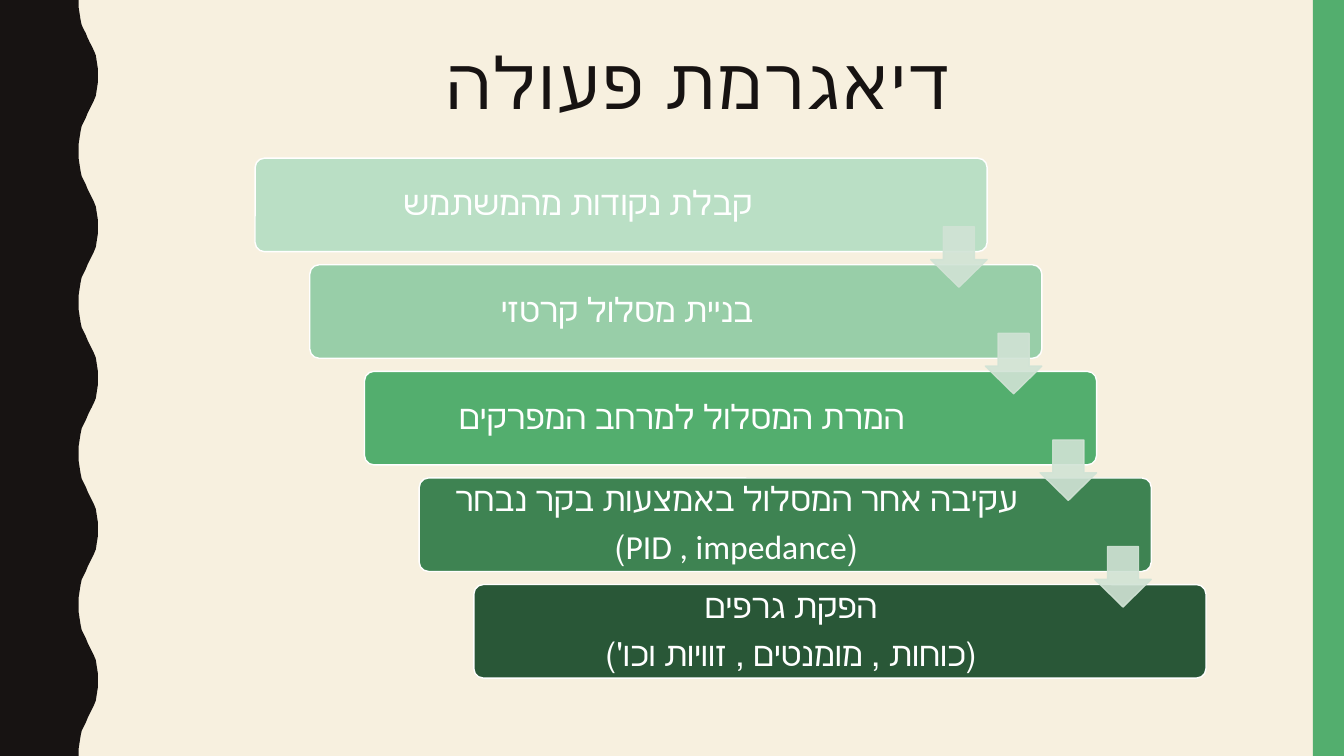
from dataclasses import dataclass

from lxml import etree
from pptx import Presentation
from pptx.dml.color import RGBColor
from pptx.enum.shapes import MSO_SHAPE
from pptx.enum.text import MSO_ANCHOR, MSO_AUTO_SIZE, PP_ALIGN
from pptx.oxml.ns import qn
from pptx.util import Inches, Pt

RECTANGLE = MSO_SHAPE.RECTANGLE
ROUNDED = MSO_SHAPE.ROUNDED_RECTANGLE
DOWN_ARROW = MSO_SHAPE.DOWN_ARROW
CENTER = PP_ALIGN.CENTER
TOP = MSO_ANCHOR.TOP
MIDDLE = MSO_ANCHOR.MIDDLE
NO_FIT = MSO_AUTO_SIZE.NONE
TITLE_ONLY = 5
GRID = 100

STEPS = [
    ("BADFC5", ["קבלת נקודות מהמשתמש"]),
    ("98CEA8", ["בניית מסלול קרטזי"]),
    ("53AE6E", ["המרת המסלול למרחב המפרקים"]),
    ("3E8352", ["עקיבה אחר המסלול באמצעות בקר נבחר", "(PID , impedance)"]),
    ("295737", ["הפקת גרפים", "(כוחות , מומנטים , זוויות וכו')"]),
]
BAR_LEFT, BAR_TOP, BAR_WIDTH, BAR_HEIGHT = 18.98, 20.93, 54.47, 12.37
STEP_RIGHT, STEP_DOWN = 4.07, 14.1
ARROW_TOP, ARROW_WIDTH, ARROW_HEIGHT = 30, 4.2, 8

WAVE_PERIOD = 20
HALF_WAVE = [
    (5.85, 0), (5.85, 0.93), (5.93, 1.87), (6, 2.67), (6.08, 3.33),
    (6.23, 3.87), (6.38, 4.4), (6.53, 5.07), (6.68, 5.6), (6.83, 6.13),
    (6.98, 6.67), (7.13, 7.33), (7.2, 8.13), (7.28, 9.07), (7.28, 10),
]


@dataclass(frozen=True)
class Theme:
    background: str = "F7F0DF"
    dark: str = "171312"
    accent: str = "53AE6E"
    arrow: str = "D1E3D5"
    light: str = "FFFFFF"
    title_font: str = "Arial Narrow"
    body_font: str = "Calibri"
    title_size: float = 51
    body_size: float = 24
    space_after: float = 8.4
    line_spacing: float = 0.9
    arrow_alpha: int = 90000


class SlideBuilder:
    def __init__(self, deck, theme):
        self.theme = theme
        self.column = deck.slide_width / GRID
        self.row = deck.slide_height / GRID
        self.page = deck.slides.add_slide(deck.slide_layouts[TITLE_ONLY])
        self.paint(self.page.background.fill, theme.background)

    def place(self, left, top, width, height):
        return (round(left * self.column), round(top * self.row),
                round(width * self.column), round(height * self.row))

    def paint(self, fill, color):
        fill.solid()
        fill.fore_color.rgb = RGBColor.from_string(color)

    def shape(self, kind, area, color, line=None):
        box = self.page.shapes.add_shape(kind, *self.place(*area))
        self.finish(box, color, line)
        return box

    def finish(self, box, color, line=None):
        box.shadow.inherit = False
        self.paint(box.fill, color)
        if line:
            self.paint(box.line.fill, line)
            box.line.width = Pt(1)
        else:
            box.line.fill.background()

    def format(self, para, font, size, color):
        para.alignment = CENTER
        para.line_spacing = self.theme.line_spacing
        para._p.get_or_add_pPr().set("rtl", "1")
        para.font.name = font
        para.font.size = Pt(size)
        para.font.color.rgb = RGBColor.from_string(color)

    def title(self, text, area):
        box = self.page.shapes.title
        box.left, box.top, box.width, box.height = self.place(*area)
        frame = box.text_frame
        frame.text = text
        frame.vertical_anchor = TOP
        frame.auto_size = NO_FIT
        para = frame.paragraphs[0]
        self.format(para, self.theme.title_font, self.theme.title_size, self.theme.dark)
        para.font._element.set("spc", "200")

    def wave(self):
        crest = HALF_WAVE + [(x, WAVE_PERIOD - y) for x, y in HALF_WAVE[-2::-1]]
        edge = [(x, y + start) for start in range(0, GRID, WAVE_PERIOD) for x, y in crest]
        points = [(round(x * self.column), round(y * self.row))
                  for x, y in edge + [(0, GRID)]]
        builder = self.page.shapes.build_freeform(0, 0)
        builder.add_line_segments(points, close=True)
        self.finish(builder.convert_to_shape(), self.theme.dark)

    def bar(self, lines, area, color, right_margin):
        box = self.shape(ROUNDED, area, color, self.theme.light)
        box.adjustments[0] = 0.1
        frame = box.text_frame
        frame.word_wrap = True
        frame.vertical_anchor = MIDDLE
        frame.margin_left = frame.margin_top = frame.margin_bottom = Inches(0.07)
        frame.margin_right = Inches(right_margin)
        frame.text = "\n".join(lines)
        for para in frame.paragraphs:
            self.format(para, self.theme.body_font, self.theme.body_size, self.theme.light)
            para.space_after = Pt(self.theme.space_after)

    def arrow(self, area):
        box = self.shape(DOWN_ARROW, area, self.theme.arrow, self.theme.arrow)
        box.adjustments[0] = 0.55
        box.adjustments[1] = 0.49
        for color in box._element.spPr.iter(qn("a:srgbClr")):
            alpha = etree.SubElement(color, qn("a:alpha"))
            alpha.set("val", str(self.theme.arrow_alpha))


def main():
    deck = Presentation()
    deck.slide_width = Inches(13.33)
    deck.slide_height = Inches(7.5)
    theme = Theme()
    slide = SlideBuilder(deck, theme)

    slide.wave()
    slide.shape(RECTANGLE, (97.68, 0, 2.32, GRID), theme.accent)
    slide.title("דיאגרמת פעולה", (10.28, 5.6, 83.49, 21.73))

    for index, (color, lines) in enumerate(STEPS):
        area = (BAR_LEFT + index * STEP_RIGHT, BAR_TOP + index * STEP_DOWN,
                BAR_WIDTH, BAR_HEIGHT)
        slide.bar(lines, area, color, 1.04 if index else 0.93)

    arrow_left = BAR_LEFT + BAR_WIDTH - ARROW_WIDTH
    for index in range(len(STEPS) - 1):
        slide.arrow((arrow_left + index * STEP_RIGHT, ARROW_TOP + index * STEP_DOWN,
                     ARROW_WIDTH, ARROW_HEIGHT))

    deck.save("out.pptx")


if __name__ == "__main__":
    main()
